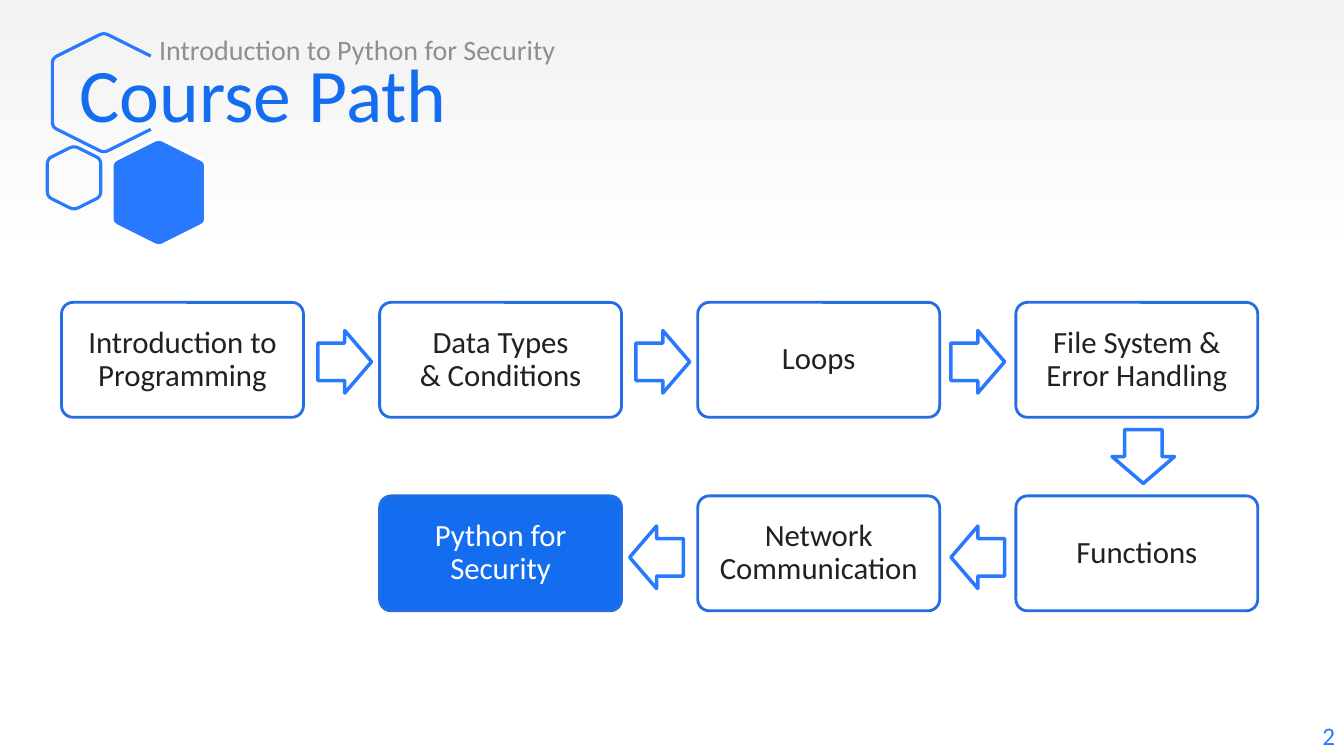
from pptx import Presentation
from pptx.dml.color import RGBColor
from pptx.enum.shapes import MSO_SHAPE as Preset
from pptx.enum.text import MSO_ANCHOR as Anchor, PP_ALIGN as Align
from pptx.util import Inches, Pt

BLUE, DEEP_BLUE, EDGE_BLUE = "2979FF", "136DEE", "256DE5"
WHITE, INK, GREY = "FFFFFF", "212121", "8F8F8F"


def colour(hex_value):
    return RGBColor.from_string(hex_value)


def write(frame, text, size=22, color=INK, align=Align.LEFT,
          anchor=Anchor.TOP, inset=(0.1, 0.05), spacing=1.0):
    frame.word_wrap = True
    frame.vertical_anchor = anchor
    frame.margin_left = frame.margin_right = Inches(inset[0])
    frame.margin_top = frame.margin_bottom = Inches(inset[1])
    paragraph = frame.paragraphs[0]
    paragraph.text = text
    paragraph.alignment = align
    paragraph.line_spacing = spacing
    for run in paragraph.runs:
        run.font.name = "Calibri"
        run.font.size = Pt(size)
        run.font.color.rgb = colour(color)


class CourseSlide:
    """Lengths are percentages of the slide; flow steps use columns and rows."""

    FIRST_X, FIRST_Y = 13.58, 47.6   # centre of the first step
    COLUMN, ROW = 23.67, 25.6        # distance between step centres
    STEP = (18, 15.2)
    ARROW = (4, 8.27)

    def __init__(self, deck):
        self.width, self.height = deck.slide_width, deck.slide_height
        self.slide = deck.slides.add_slide(deck.slide_layouts[6])
        self.shapes = self.slide.shapes

    def x(self, percent):
        return round(self.width * percent / 100)

    def y(self, percent):
        return round(self.height * percent / 100)

    def background(self, top, bottom, end):
        fill = self.slide.background.fill
        fill.gradient()
        fill.gradient_angle = 270
        for stop, shade, position in zip(fill.gradient_stops, (top, bottom), (0, end)):
            stop.color.rgb = colour(shade)
            stop.position = position

    def paint(self, shape, fill, line, weight):
        shape.shadow.inherit = False
        if fill:
            shape.fill.solid()
            shape.fill.fore_color.rgb = colour(fill)
        else:
            shape.fill.background()
        shape.line.color.rgb = colour(line)
        shape.line.width = Pt(weight)

    def label(self, text, left, top, width, height, **style):
        box = self.shapes.add_textbox(self.x(left), self.y(top), self.x(width), self.y(height))
        write(box.text_frame, text, **style)

    def hexagon(self, center_x, center_y, half_width, half_height,
                fill=None, line=BLUE, closed=True):
        cx, cy = self.x(center_x), self.y(center_y)
        w, h = self.x(half_width), self.y(half_height)
        shoulder = h - w / 2
        corners = [(cx + w, cy + shoulder), (cx, cy + h), (cx - w, cy + shoulder),
                   (cx - w, cy - shoulder), (cx, cy - h), (cx + w, cy - shoulder)]
        points = []
        for i, corner in enumerate(corners):
            points += self.rounded(corners[i - 1], corner, corners[(i + 1) % 6])
        if not closed:
            points = points[4:-4]  # leave out the right side
        builder = self.shapes.build_freeform(*points[0], scale=1.0)
        builder.add_line_segments(points[1:], close=closed)
        self.paint(builder.convert_to_shape(), fill, line, 2.25)

    @staticmethod
    def rounded(before, corner, after, cut=Inches(0.05)):
        def toward(target):
            dx, dy = target[0] - corner[0], target[1] - corner[1]
            share = cut / (dx * dx + dy * dy) ** 0.5
            return corner[0] + dx * share, corner[1] + dy * share

        start, end = toward(before), toward(after)
        return [tuple((1 - t) ** 2 * a + 2 * t * (1 - t) * b + t * t * c
                      for a, b, c in zip(start, corner, end))
                for t in (0, 0.25, 0.5, 0.75, 1)]

    def place(self, preset, column, row, size):
        width, height = self.x(size[0]), self.y(size[1])
        center_x = self.x(self.FIRST_X + column * self.COLUMN)
        center_y = self.y(self.FIRST_Y + row * self.ROW)
        return self.shapes.add_shape(preset, center_x - width // 2,
                                     center_y - height // 2, width, height)

    def step(self, text, column, row, fill=WHITE, color=INK):
        box = self.place(Preset.ROUNDED_RECTANGLE, column, row, self.STEP)
        box.adjustments[0] = 0.1
        self.paint(box, fill, EDGE_BLUE, 2)
        write(box.text_frame, text, color=color, align=Align.CENTER,
              anchor=Anchor.MIDDLE, inset=(0.13, 0.13), spacing=0.9)

    def arrow(self, column, row, angle):
        arrow = self.place(Preset.RIGHT_ARROW, column, row, self.ARROW)
        arrow.adjustments[0], arrow.adjustments[1] = 0.6, 0.5
        arrow.rotation = angle
        self.paint(arrow, None, BLUE, 2.5)


def main():
    deck = Presentation()
    deck.slide_width, deck.slide_height = Inches(13.33), Inches(7.5)
    page = CourseSlide(deck)
    page.background("F2F2F2", WHITE, 0.37)

    # Hexagon ornament
    page.hexagon(7.73, 12.27, 3.83, 7.95, closed=False)
    page.hexagon(5.51, 23.53, 1.99, 4.25)
    page.hexagon(11.82, 25.47, 3.49, 7.2, fill=BLUE, line=WHITE)

    # Page number and headings
    page.label("2", 86.87, 94.67, 13.2, 5.33, size=18, color=BLUE, align=Align.RIGHT)
    page.label("Course Path", 5.18, 4.27, 72, 16, size=54, color=DEEP_BLUE,
               anchor=Anchor.MIDDLE)
    page.label("Introduction to Python for Security", 11.1, 3.6, 33.4, 4.8,
               size=20, color=GREY)

    # Course steps: rightwards on the first row, back on the second
    steps = [("Introduction to Programming", 0, 0), ("Data Types\n& Conditions", 1, 0),
             ("Loops", 2, 0), ("File System & Error Handling", 3, 0),
             ("Functions", 3, 1), ("Network Communication", 2, 1)]
    for text, column, row in steps:
        page.step(text, column, row)
    page.step("Python for Security", 1, 1, fill=DEEP_BLUE, color=WHITE)

    # Arrows between the steps
    arrows = [(0.51, 0.01, 0), (1.51, 0.01, 0), (2.5, 0.01, 0),
              (3.02, 0.5, 90), (2.5, 1.02, 180), (1.49, 1.02, 180)]
    for column, row, angle in arrows:
        page.arrow(column, row, angle)

    deck.save("out.pptx")


if __name__ == "__main__":
    main()
